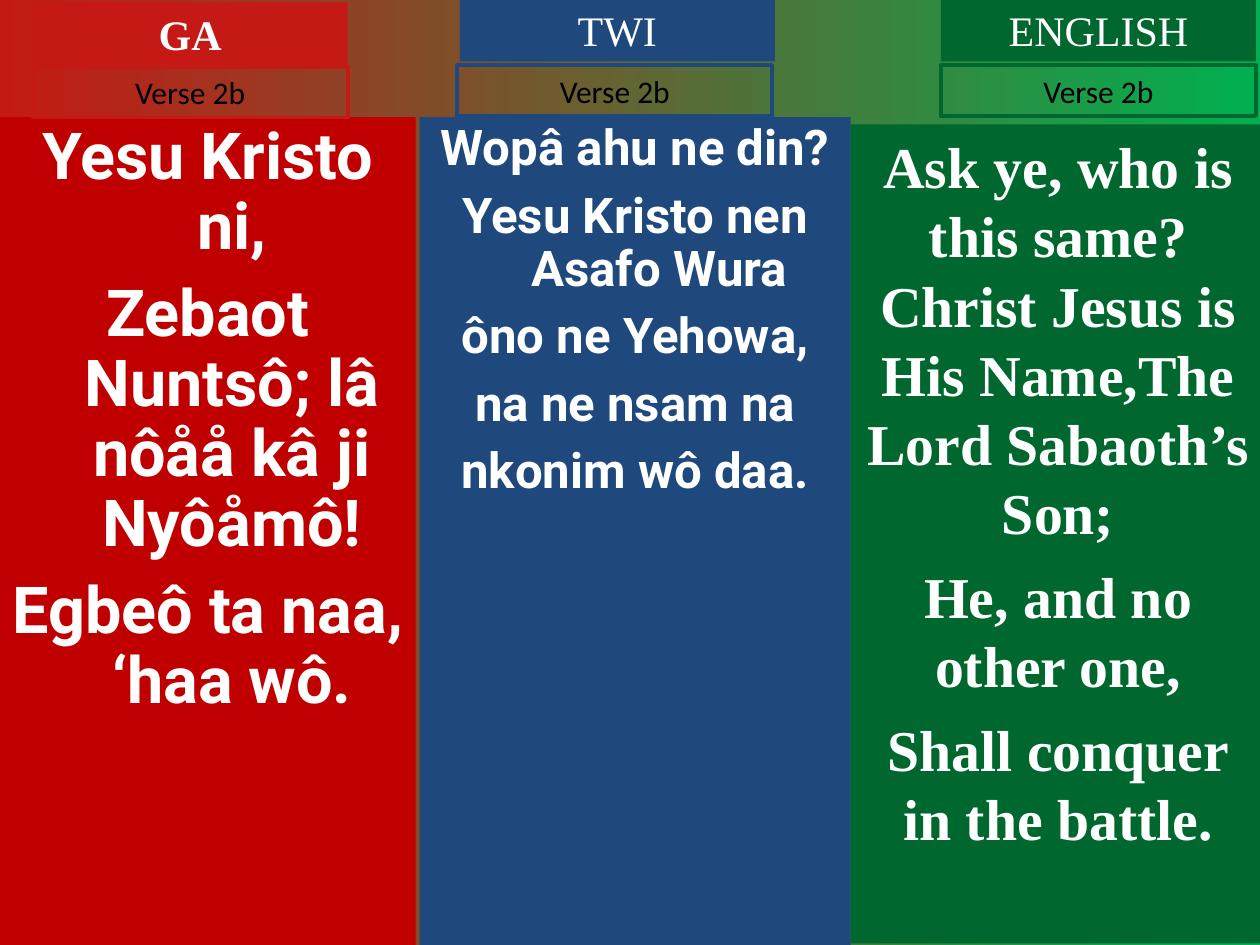
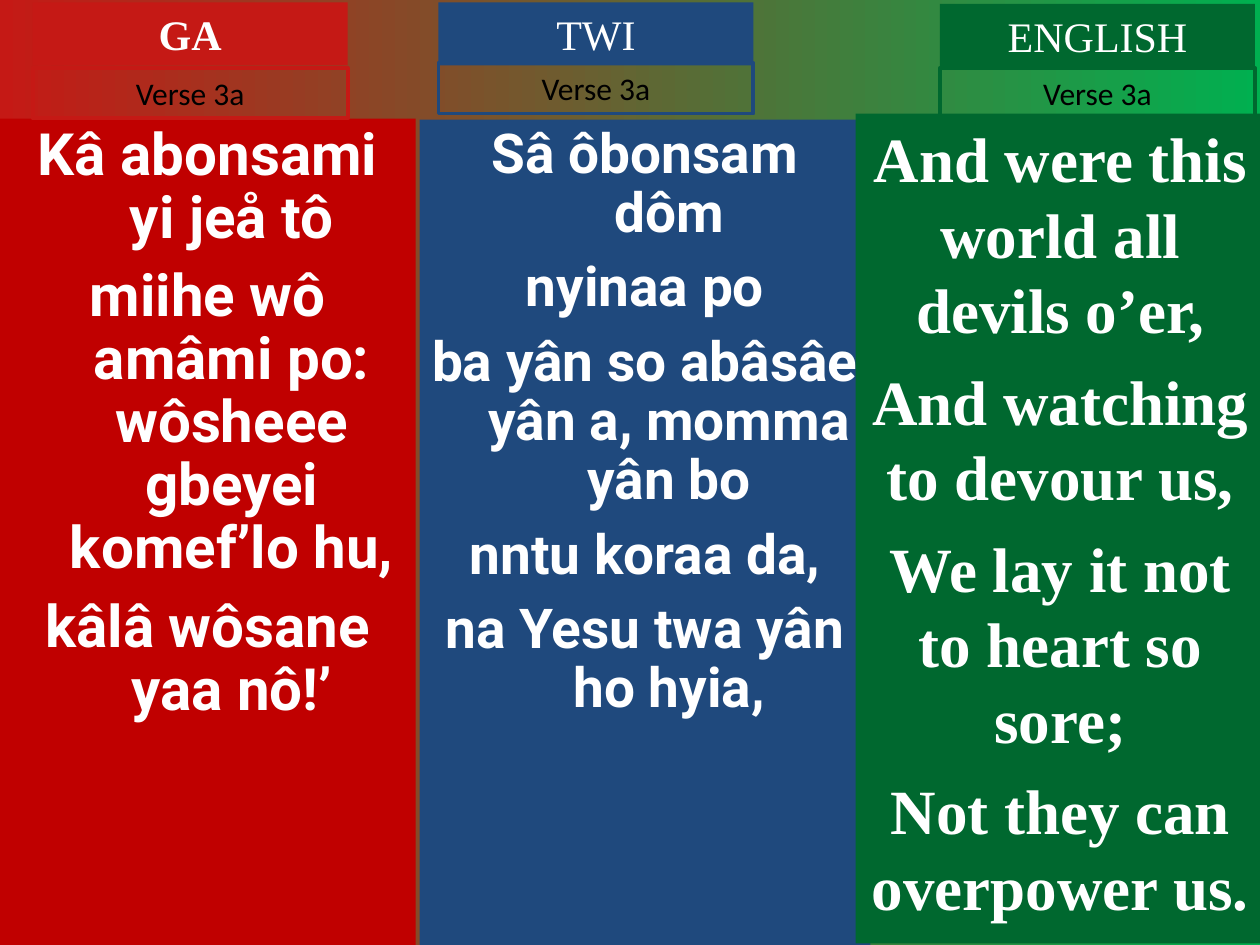
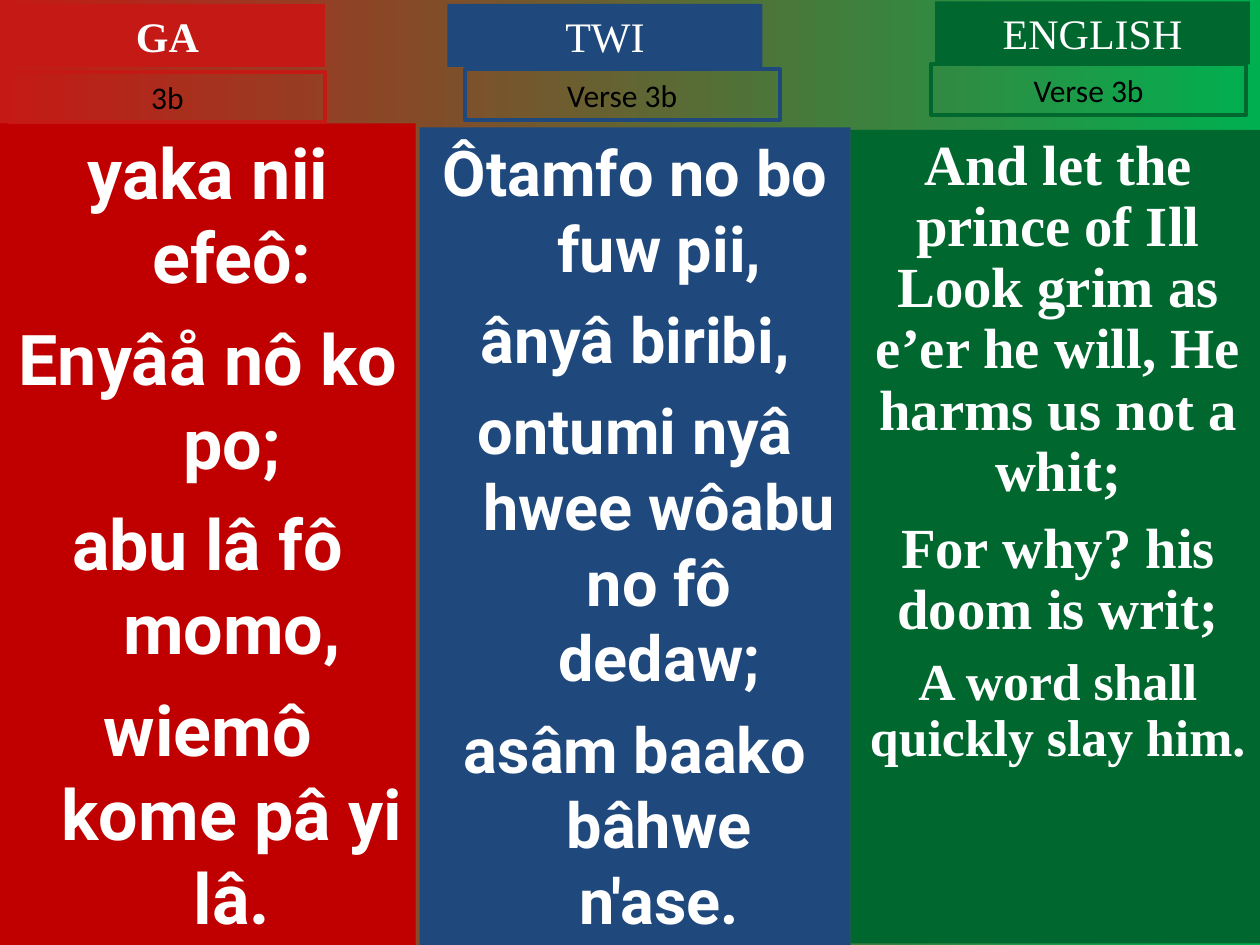
from dataclasses import dataclass

from pptx import Presentation
from pptx.dml.color import RGBColor
from pptx.enum.shapes import MSO_SHAPE
from pptx.enum.text import MSO_ANCHOR, PP_ALIGN
from pptx.util import Cm, Pt


@dataclass(frozen=True)
class Theme:
    red: str = "C51915"
    deep_red: str = "C00000"
    blue: str = "1F497D"
    green: str = "00682F"
    bright_green: str = "00B050"
    white: str = "FFFFFF"
    black: str = "000000"
    serif: str = "Times New Roman"
    sans: str = "Roboto"
    label_font: str = "Calibri"
    heading_size: float = 24
    label_size: float = 18
    border: float = 2.25


@dataclass(frozen=True)
class Language:
    name: str
    accent: str
    panel: str
    font: str
    bold_heading: bool
    hanging: float  # cm
    bottom: float  # cm


THEME = Theme()
SLIDE_WIDTH, SLIDE_HEIGHT = 25.4, 19.05
TAG_WIDTH, HEADING_HEIGHT, LABEL_HEIGHT = 6.35, 1.27, 1.02

LANGUAGES = (
    Language("GA", THEME.red, THEME.deep_red, THEME.sans, True, 0.97, SLIDE_HEIGHT),
    Language("TWI", THEME.blue, THEME.blue, THEME.sans, False, 0.97, SLIDE_HEIGHT),
    Language("ENGLISH", THEME.green, THEME.green, THEME.serif, False, 0, 19.02),
)

# One list per slide, one column per language; positions in cm.
# panel: left, top, width; heading and label: left, top
# stanzas: type size, space before, line spacing, lines
VERSES = [
    [
        dict(panel=(0, 2.36, 8.38), heading=(0.66, 0.05), label=(0.66, 1.35),
             verse="Verse 2b", stanzas=[(37, 10, 0.9, [
                 "Yesu Kristo ni,",
                 "Zebaot Nuntsô; lâ nôåå kâ ji Nyôåmô!",
                 "Egbeô ta naa, ‘haa wô."])]),
        dict(panel=(8.46, 2.36, 8.69), heading=(9.27, -0.03), label=(9.22, 1.32),
             verse="Verse 2b", stanzas=[(28.1, 8.2, 0.9, [
                 "Wopâ ahu ne din?",
                 "Yesu Kristo nen Asafo Wura",
                 "ôno ne Yehowa,",
                 "na ne nsam na",
                 "nkonim wô daa."])]),
        dict(panel=(17.15, 2.51, 8.36), heading=(18.97, -0.03), label=(18.97, 1.32),
             verse="Verse 2b", stanzas=[(33, 8.2, 1.0, [
                 "Ask ye, who is this same?Christ Jesus is His Name,The Lord Sabaoth’s Son;",
                 "He, and no other one,",
                 "Shall conquer in the battle."])]),
    ],
    [
        dict(panel=(0, 2.39, 8.38), heading=(0.66, 0.05), label=(0.66, 1.37),
             verse="Verse 3a", stanzas=[(33.3, 9, 0.9, [
                 "Kâ abonsami yi jeå tô",
                 "miihe wô amâmi po: wôsheee gbeyei komef’lo hu,",
                 "kâlâ wôsane yaa nô!’"])]),
        dict(panel=(8.46, 2.41, 9.09), heading=(8.84, 0.05), label=(8.84, 1.27),
             verse="Verse 3a", stanzas=[(31.4, 8.5, 0.9, [
                 "Sâ ôbonsam dôm",
                 "nyinaa po",
                 "ba yân so abâsâe yân a, momma yân bo",
                 "nntu koraa da,",
                 "na Yesu twa yân ho hyia,"])]),
        dict(panel=(17.25, 2.29, 8.25), heading=(18.95, 0.08), label=(18.95, 1.37),
             verse="Verse 3a", stanzas=[(36, 9, 1.0, [
                 "And were this world all devils o’er,",
                 "And watching to devour us,",
                 "We lay it not to heart so sore;",
                 "Not they can overpower us."])]),
    ],
    [
        dict(panel=(0, 2.49, 8.38), heading=(0.2, 0.08), label=(0.2, 1.45),
             verse="3b", stanzas=[(40, 10, 1.0, [
                 "yaka nii efeô:",
                 "Enyâå nô ko po;",
                 "abu lâ fô momo,",
                 "wiemô kome pâ yi lâ."])]),
        dict(panel=(8.46, 2.57, 8.69), heading=(9.02, 0.08), label=(9.37, 1.4),
             verse="Verse 3b", stanzas=[(36, 9, 1.0, [
                 "Ôtamfo no bo fuw pii,",
                 "ânyâ biribi,",
                 "ontumi nyâ hwee wôabu no fô dedaw;",
                 "asâm baako bâhwe n'ase."])]),
        dict(panel=(17.15, 2.62, 8.36), heading=(18.85, 0.03), label=(18.77, 1.3),
             verse="Verse 3b", stanzas=[
                 (32.4, 8.8, 0.9, [
                     "And let the prince of Ill Look grim as e’er he will, He harms us not a whit;",
                     "For why? his doom is writ;"]),
                 (29.6, 8, 0.9, ["A word shall quickly slay him."])]),
    ],
]


def rgb(value):
    return RGBColor.from_string(value)


def add_box(page, left, top, width, height, fill=None, line=None):
    box = page.shapes.add_shape(
        MSO_SHAPE.RECTANGLE, Cm(left), Cm(top), Cm(width), Cm(height))
    box.shadow.inherit = False
    if fill:
        box.fill.solid()
        box.fill.fore_color.rgb = rgb(fill)
    else:
        box.fill.background()
    if line:
        box.line.color.rgb = rgb(line)
        box.line.width = Pt(THEME.border)
    else:
        box.line.fill.background()
    box.text_frame.word_wrap = True
    box.text_frame.vertical_anchor = MSO_ANCHOR.TOP
    return box


def add_text(box, text, *, font, size, color=THEME.white, bold=False,
             space_before=0, line_spacing=1.0, hanging=0):
    """Write one centred paragraph, reusing the box's empty first one."""
    frame = box.text_frame
    first = not frame.text
    para = frame.paragraphs[0] if first else frame.add_paragraph()
    para.alignment = PP_ALIGN.CENTER
    para.line_spacing = line_spacing
    para.space_before = Pt(0 if first else space_before)
    if hanging:
        properties = para._p.get_or_add_pPr()
        properties.set("marL", str(Cm(hanging)))
        properties.set("indent", str(-Cm(hanging)))
    span = para.add_run()
    span.text = text
    span.font.name = font
    span.font.size = Pt(size)
    span.font.bold = bold
    span.font.color.rgb = rgb(color)


def add_panel(page, language, column):
    left, top, width = column["panel"]
    panel = add_box(page, left, top, width, language.bottom - top, fill=language.panel)
    for size, space, spacing, lines in column["stanzas"]:
        for line in lines:
            add_text(panel, line, font=language.font, size=size, bold=True,
                     space_before=space, line_spacing=spacing, hanging=language.hanging)


def add_tags(page, language, column):
    heading = add_box(page, *column["heading"], TAG_WIDTH, HEADING_HEIGHT,
                      fill=language.accent)
    add_text(heading, language.name, font=THEME.serif, size=THEME.heading_size,
             bold=language.bold_heading)
    label = add_box(page, *column["label"], TAG_WIDTH, LABEL_HEIGHT,
                    line=language.accent)
    add_text(label, column["verse"], font=THEME.label_font, size=THEME.label_size,
             color=THEME.black)


def set_background(master):
    fill = master.background.fill
    fill.gradient()
    fill.gradient_angle = 0
    for stop, color in zip(fill.gradient_stops, (THEME.red, THEME.bright_green)):
        stop.color.rgb = rgb(color)


def main():
    deck = Presentation()
    deck.slide_width, deck.slide_height = Cm(SLIDE_WIDTH), Cm(SLIDE_HEIGHT)
    set_background(deck.slide_master)
    blank = deck.slide_layouts.get_by_name("Blank")
    for columns in VERSES:
        page = deck.slides.add_slide(blank)
        # Lyrics first, so the tags lie on top of every panel
        for add_part in (add_panel, add_tags):
            for language, column in zip(LANGUAGES, columns):
                add_part(page, language, column)
    deck.save("out.pptx")


if __name__ == "__main__":
    main()
